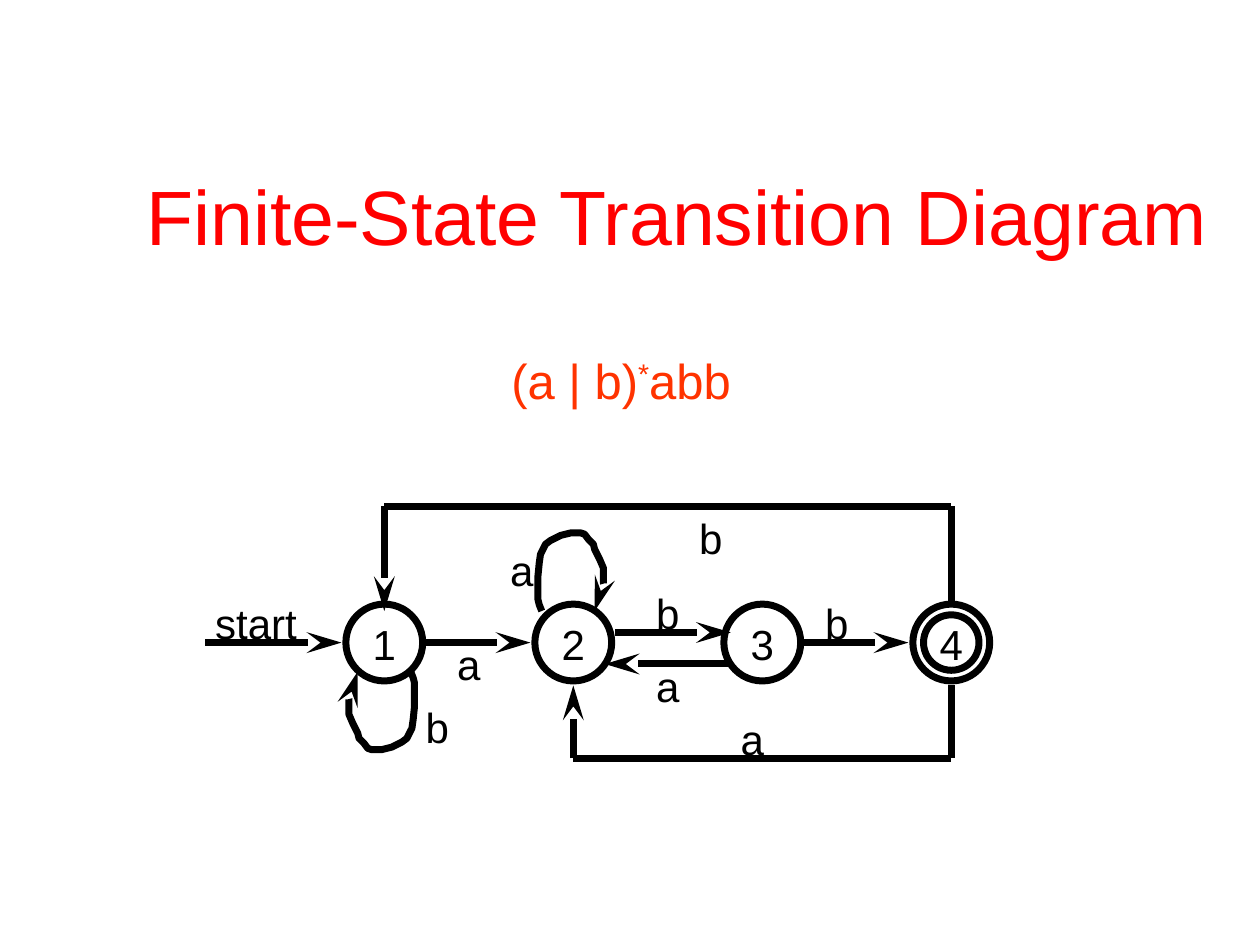
import pptx
import pptx.dml.color
import pptx.enum.shapes
import pptx.enum.text
import pptx.oxml
import pptx.oxml.ns
import pptx.util

Inches = pptx.util.Inches
COLORS = {"title": "FF0000", "regex": "FF3300", "ink": "000000"}


class Diagram:
    """Draws a finite-state diagram on one slide in a single style."""

    font_name = "Arial"
    line_width = pptx.util.Pt(4)

    def __init__(self, slide):
        self.slide = slide

    def color(self, key):
        return pptx.dml.color.RGBColor.from_string(COLORS[key])

    def text(self, box, pieces, size=24, color="ink", **frame_format):
        frame = self.slide.shapes.add_textbox(*map(Inches, box)).text_frame
        frame_values = {
            "word_wrap": False,
            "auto_size": pptx.enum.text.MSO_AUTO_SIZE.SHAPE_TO_FIT_TEXT,
            **frame_format,
        }
        for key, value in frame_values.items():
            setattr(frame, key, value)
        paragraph = frame.paragraphs[0]
        for words, baseline in pieces:
            run = paragraph.add_run()
            run.text = words
            for key, value in {"name": self.font_name, "size": pptx.util.Pt(size)}.items():
                setattr(run.font, key, value)
            run.font.color.rgb = self.color(color)
            if baseline:
                run._r.get_or_add_rPr().set("baseline", str(baseline * 1000))
        return paragraph

    def label(self, left, top, words, width=0.39):
        self.text((left, top, width, 0.5), [(words, 0)])

    def stroke(self, line, arrow=False):
        line.color.rgb = self.color("ink")
        line.width = self.line_width
        if arrow:
            namespace = pptx.oxml.ns.nsdecls("a")
            line._get_or_add_ln().append(pptx.oxml.parse_xml(
                f'<a:tailEnd {namespace} type="stealth" w="med" len="lg"/>'))

    def circle(self, x, y, diameter):
        corner = x - diameter / 2, y - diameter / 2
        ring = self.slide.shapes.add_shape(
            pptx.enum.shapes.MSO_SHAPE.OVAL, *map(Inches, (*corner, diameter, diameter)))
        ring.shadow.inherit = False
        ring.fill.background()
        self.stroke(ring.line)

    def edge(self, start, end, arrow=False):
        connector = self.slide.shapes.add_connector(
            pptx.enum.shapes.MSO_CONNECTOR.STRAIGHT, *map(Inches, (*start, *end)))
        self.stroke(connector.line, arrow)
        connector._element.spPr.append(
            pptx.oxml.parse_xml(f'<a:effectLst {pptx.oxml.ns.nsdecls("a")}/>'))

    def loop(self, points):
        start, *rest = [(Inches(x), Inches(y)) for x, y in points]
        builder = self.slide.shapes.build_freeform(*start)
        builder.add_line_segments(rest, close=False)
        curve = builder.convert_to_shape()
        curve.shadow.inherit = False
        curve.fill.background()
        self.stroke(curve.line, arrow=True)


def main():
    deck = pptx.Presentation()
    deck.slide_width, deck.slide_height = Inches(10), Inches(7.5)
    diagram = Diagram(deck.slides.add_slide(deck.slide_layouts[6]))

    title = diagram.text(
        (1, 1.08, 8.75, 1.25), [("Finite-State Transition Diagram", 0)], 44, "title",
        word_wrap=True, auto_size=pptx.enum.text.MSO_AUTO_SIZE.NONE,
        vertical_anchor=pptx.enum.text.MSO_ANCHOR.MIDDLE)
    title.alignment = pptx.enum.text.PP_ALIGN.CENTER
    diagram.text((3.96, 2.73, 1.94, 0.57),
                 [("(a | b)", 0), ("*", 30), ("abb", 0)], 28, "regex")

    state_y = 5.1
    states = {number: 3.05 + 1.5 * (number - 1) for number in range(1, 5)}
    for number, x in states.items():
        diagram.circle(x, state_y, 0.61)
        diagram.label(x - 0.19, 4.86, str(number))
    diagram.circle(states[4], state_y, 0.44)

    arrows = [
        ((1.63, state_y), (2.71, state_y)),
        ((3.38, state_y), (4.21, state_y)),
        ((4.88, 5.02), (5.8, 5.02)),
        ((5.8, 5.27), (4.8, 5.27)),
        ((6.38, state_y), (7.21, state_y)),
    ]
    for start, end in arrows:
        diagram.edge(start, end, arrow=True)

    returns = [(1, 4.77, 4.02, 4.85), (2, 5.44, 6.02, 5.44)]
    for target, leave_y, rail_y, arrive_y in returns:
        diagram.edge((states[4], leave_y), (states[4], rail_y))
        diagram.edge((states[target], rail_y), (states[4], rail_y))
        diagram.edge((states[target], rail_y), (states[target], arrive_y), arrow=True)

    loop_on_2 = [
        (4.3, 4.85), (4.28, 4.8), (4.27, 4.76), (4.27, 4.57), (4.28, 4.47),
        (4.29, 4.4), (4.31, 4.36), (4.33, 4.32), (4.37, 4.29), (4.41, 4.27),
        (4.45, 4.25), (4.53, 4.23), (4.61, 4.23), (4.64, 4.24), (4.67, 4.28),
        (4.71, 4.32), (4.72, 4.36), (4.76, 4.44), (4.79, 4.51), (4.79, 4.63),
        (4.8, 4.67), (4.8, 4.71), (4.79, 4.75), (4.77, 4.79), (4.76, 4.83),
        (4.72, 4.86), (4.72, 4.85),
    ]
    loop_on_1 = [(7.56 - x, 10.18 - y) for x, y in loop_on_2]
    for points in (loop_on_2, loop_on_1):
        diagram.loop(points)

    diagram.label(1.61, 4.69, "start", 0.85)
    symbols = {
        "a": [(3.53, 5.02), (3.95, 4.27), (5.11, 5.19), (5.78, 5.61)],
        "b": [(5.11, 4.61), (6.45, 4.69), (3.28, 5.52), (5.45, 4.02)],
    }
    for symbol, corners in symbols.items():
        for left, top in corners:
            diagram.label(left, top, symbol)

    deck.save("out.pptx")


if __name__ == "__main__":
    main()
